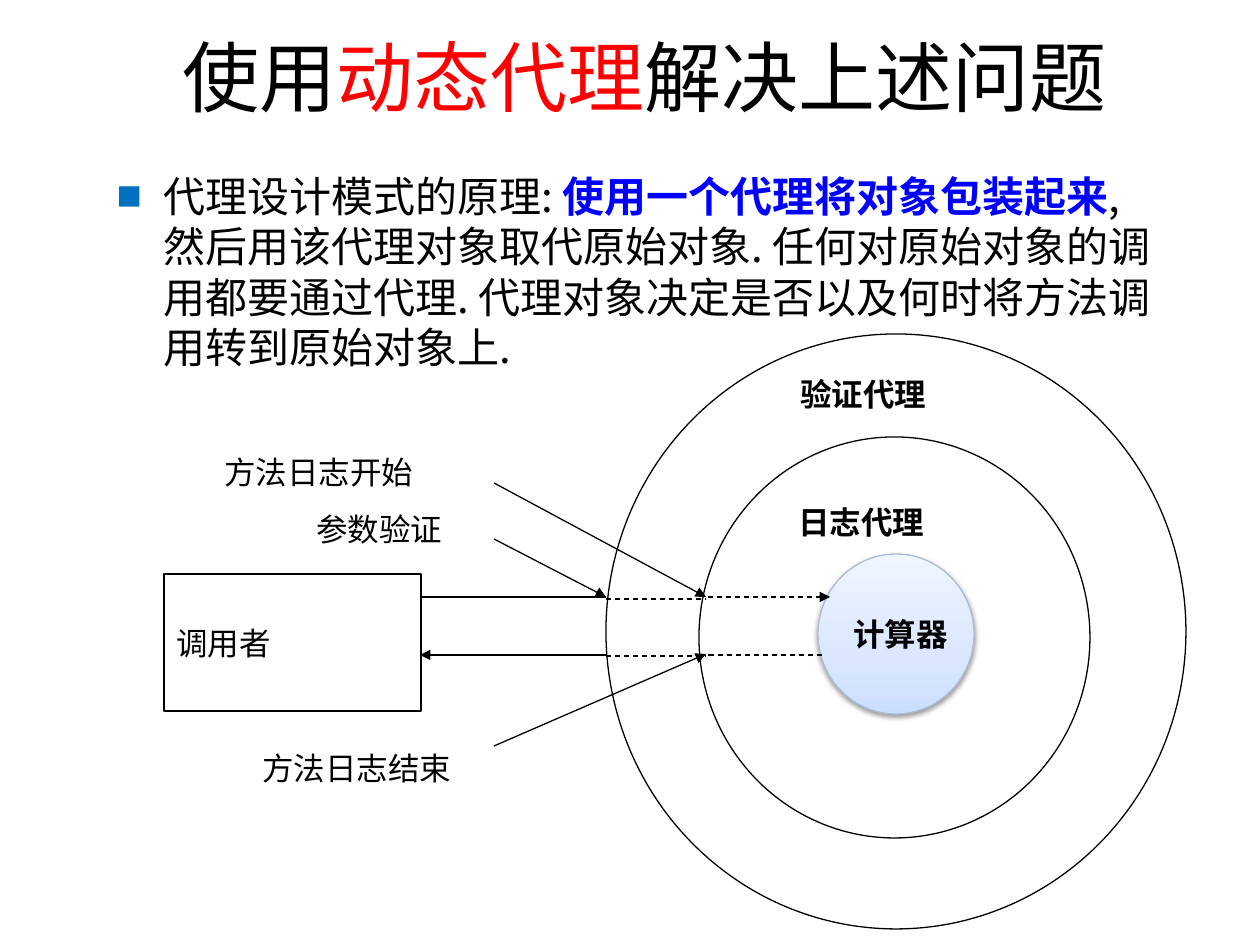
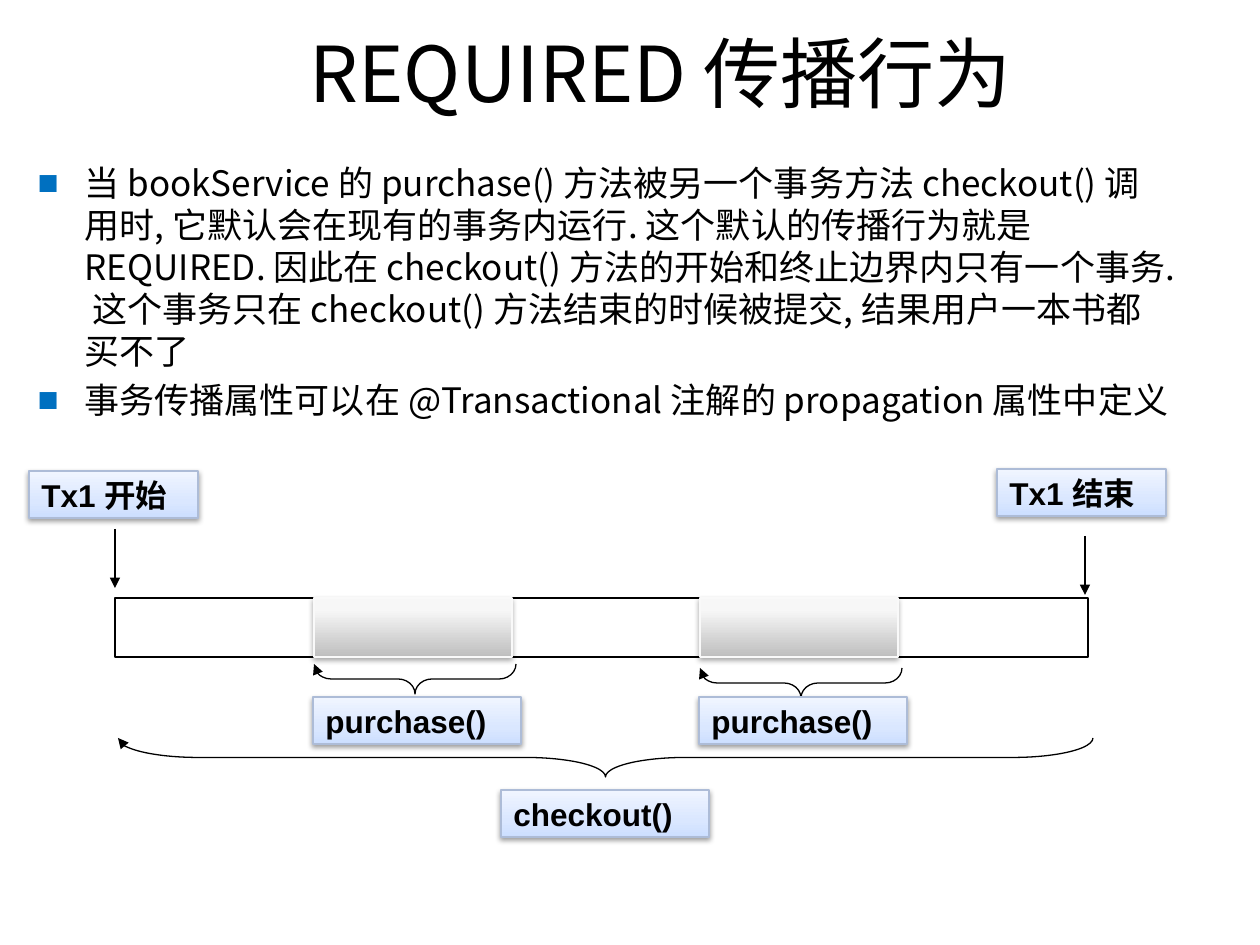
from copy import deepcopy

from pptx import Presentation
from pptx import util as u
from pptx.dml.color import RGBColor
from pptx.enum import dml, shapes, text
from pptx.oxml import ns, xmlchemy

# Shared look; all lengths are px at 126 to the inch
PX = 914400 / 126
FONT, LABEL_FONT = "Noto Sans CJK SC", "Arial"
BLACK, RED, BLUE, WHITE, BULLET = "000000", "FF0000", "0000FF", "FFFFFF", "0070C0"
INDENT = 47
TITLE_SIZE = (1134, 118)
PALE_BLUE = dict(stops=[(0, "CCDEFF"), (0.35, "DAE7FF"), (1, "F0F5FF")],
                 edge="ADBCD7", shadow=38)
GREY = dict(stops=[(0, "BEBEBE"), (0.8, "F7F7F7"), (1, "F8F8F8")],
            edge="F9F9F9", shadow=35)
OVAL, RECT = shapes.MSO_SHAPE.OVAL, shapes.MSO_SHAPE.RECTANGLE

# Slide 1 content: spans are (words, colour, bold)
PROXY_TITLE = [("使用", BLACK, False), ("动态代理", RED, False), ("解决上述问题", BLACK, False)]
PROXY_BODY = [[
    ("代理设计模式的原理: ", BLACK, False),
    ("使用一个代理将对象包装起来", BLUE, True),
    (", 然后用该代理对象取代原始对象. 任何对原始对象的调用都要通过代理. "
     "代理对象决定是否以及何时将方法调用转到原始对象上.", BLACK, False)]]
RINGS = [(699, 437, 391, 401), (606, 334, 580, 595)]
CALLER, CALCULATOR = (164, 574, 257, 137), (818, 554, 156, 160)
PROXY_LABELS = [  # words, left, top, width, bold
    ("日志代理", 786, 497, 218, True), ("验证代理", 788, 369, 218, True),
    ("参数验证", 304, 504, 190, False), ("方法日志开始", 212, 447, 312, False),
    ("方法日志结束", 250, 743, 278, False)]
CALL_Y, RETURN_Y = 597, 655
CALLER_X, OUTER_X, INNER_X, NOTE_X = 420, 606, 706, 494
CALLS = [  # start, end, dashed, arrow
    ((CALLER_X, CALL_Y), (OUTER_X, CALL_Y), False, False),
    ((OUTER_X, CALL_Y + 2), (INNER_X, CALL_Y + 2), True, False),
    ((INNER_X + 2, CALL_Y), (830, CALL_Y), True, True),
    ((822, RETURN_Y), (699, RETURN_Y), True, False),
    ((OUTER_X, RETURN_Y + 1), (INNER_X, RETURN_Y + 1), True, False),
    ((OUTER_X, RETURN_Y), (CALLER_X, RETURN_Y), False, True),
    ((NOTE_X, 539), (OUTER_X, CALL_Y), False, True),
    ((NOTE_X, 483), (INNER_X, CALL_Y), False, True),
    ((NOTE_X, 746), (INNER_X, RETURN_Y - 1), False, True)]

# Slide 2 content
REQUIRED_TITLE = [("REQUIRED 传播行为", BLACK, False)]
REQUIRED_BODY = [
    [("当 bookService 的 purchase() 方法被另一个事务方法 checkout() 调用时, "
      "它默认会在现有的事务内运行. 这个默认的传播行为就是 REQUIRED. "
      "因此在 checkout() 方法的开始和终止边界内只有一个事务. "
      "这个事务只在 checkout() 方法结束的时候被提交, 结果用户一本书都买不了", BLACK, False)],
    [("事务传播属性可以在 @Transactional 注解的 propagation 属性中定义", BLACK, False)]]
TIMELINE = (115, 598, 973, 59)
TX_MARKS = [  # words, tag left, tag top, arrow x, arrow top
    ("Tx1 开始", 29, 471, 115, 529), ("Tx1 结束", 997, 469, 1085, 536)]
PURCHASES = [(314, 664), (700, 668)]  # block left, brace top
TAG_HEIGHT, ARROW_LENGTH = 47, 59


def px(*lengths):
    return [u.Emu(round(length * PX)) for length in lengths]


def colour(code):
    return RGBColor.from_string(code)


def add_xml(parent, tag, **attributes):
    child = xmlchemy.OxmlElement(tag)
    for name, value in attributes.items():
        child.set(name, str(value))
    parent.append(child)
    return child


# Text
def write(para, spans, size, font=FONT):
    for words, ink, bold in spans:
        span = para.add_run()
        span.text = words
        span.font.size, span.font.name = u.Pt(size), font
        span.font.bold, span.font.color.rgb = bold, colour(ink)
        add_xml(span.font._element, "a:ea", typeface=FONT)


def hang(para):
    indent = px(INDENT)[0]
    para._p.get_or_add_pPr().set("marL", str(indent))
    para._p.get_or_add_pPr().set("indent", str(-indent))


def write_label(shape, words, bold, font=FONT, wrap=True, anchor=text.MSO_ANCHOR.MIDDLE):
    frame = shape.text_frame
    frame.word_wrap, frame.vertical_anchor = wrap, anchor
    para = frame.paragraphs[0]
    para.alignment = text.PP_ALIGN.LEFT
    hang(para)
    write(para, [(words, BLACK, bold)], 18, font)


def place(shape, left, top, width, height):
    shape.left, shape.top, shape.width, shape.height = px(left, top, width, height)


def add_page(deck, title, title_at, body, body_box, body_size):
    page = deck.slides.add_slide(deck.slide_layouts[1])
    heading, listing = page.placeholders
    place(heading, *title_at, *TITLE_SIZE)
    place(listing, *body_box)
    for box in (heading, listing):
        box.text_frame.auto_size = text.MSO_AUTO_SIZE.NONE
    heading.text_frame.vertical_anchor = text.MSO_ANCHOR.MIDDLE
    heading.text_frame.paragraphs[0].alignment = text.PP_ALIGN.CENTER
    write(heading.text_frame.paragraphs[0], title, 44)

    frame = listing.text_frame
    for number, spans in enumerate(body):
        para = frame.add_paragraph() if number else frame.paragraphs[0]
        hang(para)
        para.space_before = u.Pt(body_size * 0.2)
        settings = para._p.get_or_add_pPr()
        add_xml(add_xml(settings, "a:buClr"), "a:srgbClr", val=BULLET)
        add_xml(settings, "a:buFont", typeface=LABEL_FONT)
        add_xml(settings, "a:buChar", char="■")
        write(para, spans, body_size)
    return page


# Shapes and lines
def add_outline(page, kind, box, fill=None):
    shape = page.shapes.add_shape(kind, *px(*box))
    shape.shadow.inherit = False
    shape.line.color.rgb, shape.line.width = colour(BLACK), u.Pt(0.75)
    if fill:
        shape.fill.solid()
        shape.fill.fore_color.rgb = colour(fill)
    else:
        shape.fill.background()
    return shape


def add_glossy(page, kind, box, look):
    shape = add_outline(page, kind, box)
    shape.line.color.rgb = colour(look["edge"])
    shape.fill.gradient()
    shape.fill.gradient_angle = 90
    stop_list = shape._element.spPr.find(".//" + ns.qn("a:gsLst"))
    stop_list.insert(1, deepcopy(stop_list[0]))
    for stop, (position, code) in zip(shape.fill.gradient_stops, look["stops"]):
        stop.position, stop.color.rgb = position, colour(code)
    effects = shape._element.spPr.find(ns.qn("a:effectLst"))
    shadow = add_xml(effects, "a:outerShdw", blurRad=u.Pt(3.1), dist=u.Pt(1.6),
                     dir=5400000, rotWithShape=0)
    add_xml(add_xml(shadow, "a:srgbClr", val=BLACK), "a:alpha", val=look["shadow"] * 1000)
    return shape


def add_tag(page, words, left, top, width):
    tag = add_glossy(page, RECT, (left, top, width, TAG_HEIGHT), PALE_BLUE)
    write_label(tag, words, True, LABEL_FONT)


def add_arrowhead(line):
    add_xml(line._get_or_add_ln(), "a:tailEnd", type="triangle")


def add_line(page, start, end, dashed=False, arrow=True):
    link = page.shapes.add_connector(shapes.MSO_CONNECTOR.STRAIGHT, *px(*start, *end))
    link.line.color.rgb, link.line.width = colour(BLACK), u.Pt(0.75)
    if dashed:
        link.line.dash_style = dml.MSO_LINE.DASH
    if arrow:
        add_arrowhead(link.line)
    add_xml(link._element.spPr, "a:effectLst")


def add_brace(page, left, top, span, depth, curve):
    # A right brace turned to point down, about the centre of its place
    box = (left + (span - depth) / 2, top - (span - depth) / 2, depth, span)
    brace = add_outline(page, shapes.MSO_SHAPE.RIGHT_BRACE, box)
    brace.rotation = 90
    brace.adjustments[0] = curve
    add_arrowhead(brace.line)


# Pages
def add_proxy_page(deck):
    page = add_page(deck, PROXY_TITLE, (78, 17), PROXY_BODY, (104, 164, 1061, 220), 24)
    for ring in RINGS:
        add_outline(page, OVAL, ring)
    write_label(add_outline(page, RECT, CALLER), "调用者", False)
    write_label(add_glossy(page, OVAL, CALCULATOR, PALE_BLUE), "计算器", True, wrap=False)
    for words, left, top, width, bold in PROXY_LABELS:
        box = page.shapes.add_textbox(*px(left, top, width, 58))
        write_label(box, words, bold, anchor=text.MSO_ANCHOR.TOP)
    for call in CALLS:
        add_line(page, *call)


def add_required_page(deck):
    page = add_page(deck, REQUIRED_TITLE, (94, 13), REQUIRED_BODY, (25, 155, 1160, 564), 20)
    add_outline(page, RECT, TIMELINE, WHITE)
    for words, left, top, arrow_x, arrow_top in TX_MARKS:
        add_tag(page, words, left, top, 169)
        add_line(page, (arrow_x, arrow_top), (arrow_x, arrow_top + ARROW_LENGTH))
    for left, brace_top in PURCHASES:
        add_glossy(page, RECT, (left, TIMELINE[1], 198, TIMELINE[3]), GREY)
        add_brace(page, left, brace_top, 202, 30, 0.565)
        add_tag(page, "purchase()", left - 1, 697, 208)
    add_brace(page, 118, 738, 975, 39, 2.053)
    add_tag(page, "checkout()", 501, 790, 208)


def main():
    deck = Presentation()
    deck.slide_width, deck.slide_height = u.Inches(10), u.Inches(7.5)
    add_proxy_page(deck)
    add_required_page(deck)
    deck.save("out.pptx")


if __name__ == "__main__":
    main()
